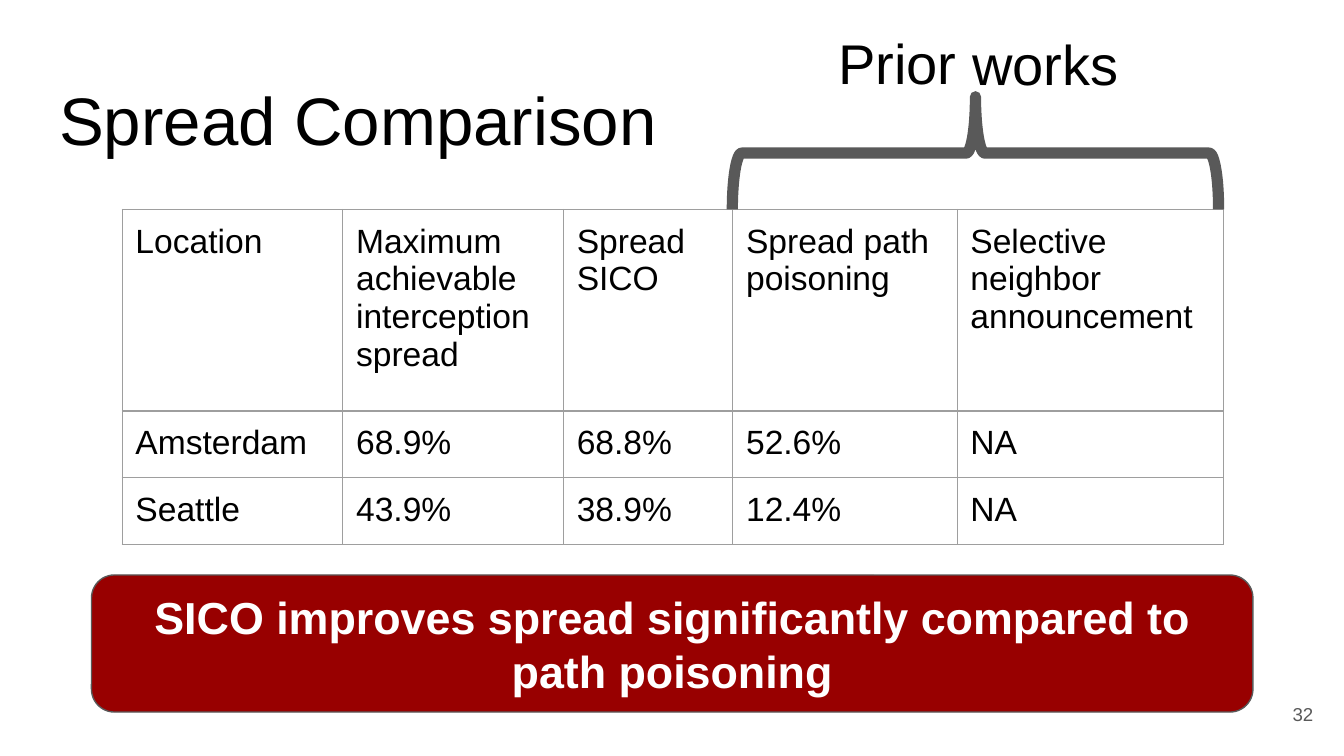
from lxml.etree import SubElement
from pptx import Presentation
from pptx.dml.color import RGBColor
from pptx.enum.shapes import MSO_SHAPE as Shape
from pptx.enum.text import MSO_ANCHOR as Anchor, PP_ALIGN as Align
from pptx.oxml import parse_xml
from pptx.oxml.ns import nsdecls, qn
from pptx.util import Cm, Pt

COLORS = {
    "text": "000000",
    "gray": "595959",
    "border": "9E9E9E",
    "banner": "980000",
    "white": "FFFFFF",
}
FONT = "Arial"
INSET = Cm(0.25)

COLUMN_WIDTHS = [4.17, 4.17, 3.2, 4.24, 5.03]
ROW_HEIGHTS = [3.81, 1.22, 1.22]
ROWS = [
    ["Location", "Maximum achievable interception spread", "Spread SICO",
     "Spread path poisoning", "Selective neighbor announcement"],
    ["Amsterdam", "68.9%", "68.8%", "52.6%", "NA"],
    ["Seattle", "43.9%", "38.9%", "12.4%", "NA"],
]


def color(name):
    return RGBColor.from_string(COLORS[name])


def write(frame, text, size, color_name="text", align=Align.LEFT, bold=False):
    para = frame.paragraphs[0]
    para.alignment = align
    span = para.add_run()
    span.text = text
    span.font.name = FONT
    span.font.size = Pt(size)
    span.font.bold = bold
    span.font.color.rgb = color(color_name)


def set_frame(frame, anchor):
    frame.word_wrap = True
    frame.vertical_anchor = anchor
    frame.margin_left = frame.margin_right = INSET
    frame.margin_top = frame.margin_bottom = INSET


def add_text(page, place, text, size, anchor=Anchor.TOP, **style):
    box = page.shapes.add_textbox(*map(Cm, place))
    set_frame(box.text_frame, anchor)
    write(box.text_frame, text, size, **style)
    return box


def add_outlined(page, kind, place, line_width):
    shape = page.shapes.add_shape(kind, *map(Cm, place))
    shape.shadow.inherit = False
    shape.line.color.rgb = color("gray")
    shape.line.width = Pt(line_width)
    return shape


def add_banner(page, place, text):
    banner = add_outlined(page, Shape.ROUNDED_RECTANGLE, place, 0.75)
    banner.adjustments[0] = 0.167
    banner.fill.solid()
    banner.fill.fore_color.rgb = color("banner")
    set_frame(banner.text_frame, Anchor.MIDDLE)
    write(banner.text_frame, text, 24, "white", Align.CENTER, bold=True)


def add_brace(page, place):
    brace = add_outlined(page, Shape.LEFT_BRACE, place, 6)
    brace.rotation = 90
    brace.fill.background()
    SubElement(brace.get_or_add_ln(), qn("a:round"))


def set_borders(cell):
    properties = cell._tc.get_or_add_tcPr()
    for index, side in enumerate(("lnL", "lnR", "lnT", "lnB")):
        properties.insert(index, parse_xml(
            f'<a:{side} {nsdecls("a")} w="{Pt(0.75)}"><a:solidFill>'
            f'<a:srgbClr val="{COLORS["border"]}"/></a:solidFill></a:{side}>'))


def add_grid(page, left, top):
    size = sum(COLUMN_WIDTHS), sum(ROW_HEIGHTS)
    table = page.shapes.add_table(
        len(ROWS), len(COLUMN_WIDTHS), Cm(left), Cm(top), *map(Cm, size)).table
    table.first_row = table.horz_banding = False
    for column, width in zip(table.columns, COLUMN_WIDTHS):
        column.width = Cm(width)
    for row, height, texts in zip(table.rows, ROW_HEIGHTS, ROWS):
        row.height = Cm(height)
        for cell, text in zip(row.cells, texts):
            cell.fill.background()
            set_borders(cell)
            cell.margin_left = cell.margin_right = INSET
            cell.margin_top = cell.margin_bottom = INSET
            write(cell.text_frame, text, 18)


def main():
    deck = Presentation()
    deck.slide_width, deck.slide_height = Cm(25.4), Cm(14.29)
    page = deck.slides.add_slide(deck.slide_layouts[6])

    # Title and comparison table
    add_text(page, (0.87, 1.24, 23.67, 1.6), "Spread Comparison", 36)
    add_grid(page, 2.31, 3.96)

    # Page number and conclusion
    add_text(page, (23.55, 12.95, 1.52, 1.09), "32", 10, Anchor.MIDDLE,
             color_name="gray", align=Align.RIGHT)
    add_banner(page, (1.73, 10.87, 21.95, 2.59),
               "SICO improves spread significantly compared to path poisoning")

    # Brace over the columns of prior works
    add_brace(page, (17.37, -1.7, 2.13, 9.19))
    label = add_text(page, (13.74, 0.3, 9.5, 1.37), "Prior works", 30,
                     align=Align.CENTER)
    label.rotation = 0.1

    deck.save("out.pptx")


if __name__ == "__main__":
    main()
